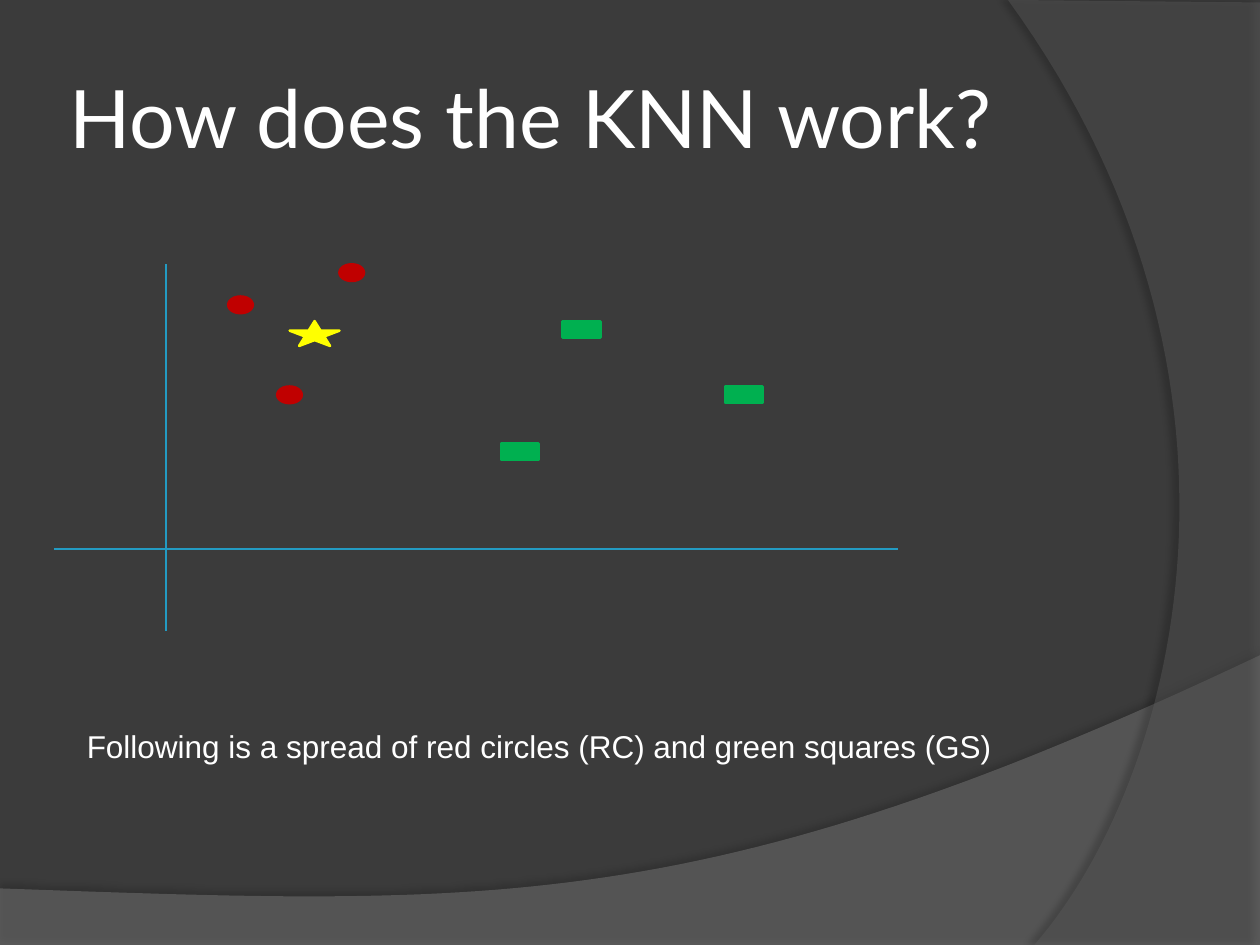
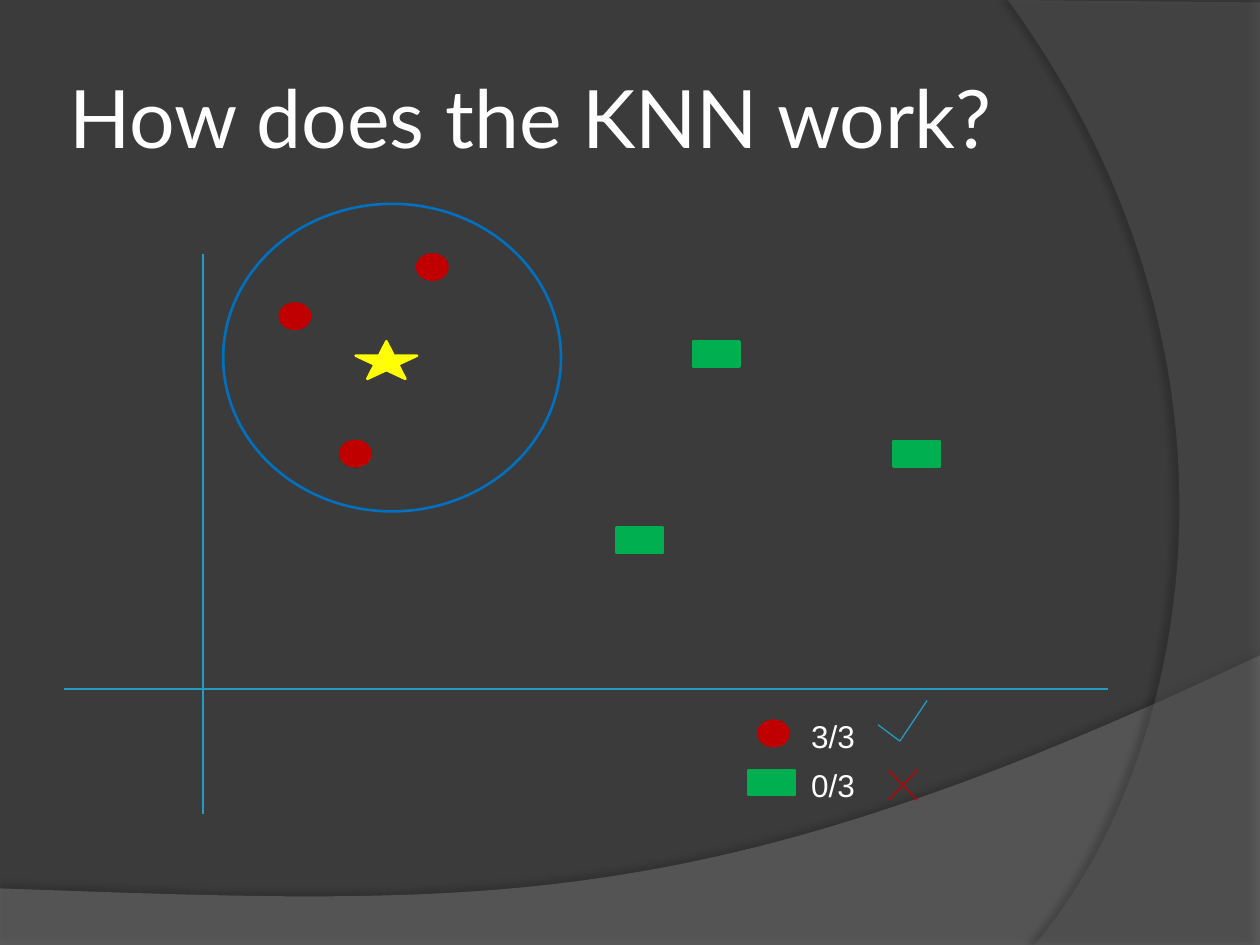
"""Build two slides that show how the KNN method votes."""
import dataclasses

import pptx
import pptx.dml.color
import pptx.enum.shapes
import pptx.enum.text
import pptx.oxml
import pptx.oxml.ns
import pptx.shapes.autoshape
import pptx.slide
import pptx.util

Cm = pptx.util.Cm
Pt = pptx.util.Pt
RGBColor = pptx.dml.color.RGBColor
Kind = pptx.enum.shapes.MSO_SHAPE
Point = tuple[float, float]

DARK = RGBColor(0x3B, 0x3B, 0x3B)
GREY = RGBColor(0x7F, 0x7F, 0x7F)
SLATE = RGBColor(0x5E, 0x5E, 0x5E)
WHITE = RGBColor(0xFF, 0xFF, 0xFF)
TEAL = RGBColor(0x23, 0x9B, 0xC2)
BLUE = RGBColor(0x00, 0x70, 0xC0)
RED = RGBColor(0xC0, 0x00, 0x00)
GREEN = RGBColor(0x00, 0xB0, 0x50)
YELLOW = RGBColor(0xFF, 0xFF, 0x00)


@dataclasses.dataclass(frozen=True)
class Mark:
    kind: Kind
    color: RGBColor
    width: float
    height: float


@dataclasses.dataclass(frozen=True)
class Band:
    edge: list[Point]
    curve: list[Point]
    color: RGBColor
    alpha: int
    shade: int
    reach: float
    angle: int


@dataclasses.dataclass(frozen=True)
class Frame:
    left: float
    top: float
    width: float
    height: float


CIRCLE = Mark(Kind.OVAL, RED, 0.61, 0.51)
SQUARE = Mark(Kind.RECTANGLE, GREEN, 0.94, 0.51)
STAR = Mark(Kind.STAR_5_POINT, YELLOW, 1.24, 0.76)

FULL = Frame(1.3, 5.13, 21.03, 11.28)
SMALL = Frame(1.09, 5.33, 17.02, 7.39)
CROSSING = (2.79, 8.76)
SPREAD = [
    (SQUARE, [(11.13, 5.51), (12.67, 1.75), (16.71, 3.76)]),
    (CIRCLE, [(4.34, 0.99), (5.56, 3.76), (7.11, 0)]),
    (STAR, [(5.87, 1.75)]),
]
BANDS = [
    Band([(0, 17.91), (0, 19.08), (25.4, 19.08), (25.4, 13.21)],
         [(14.2, 18.52), (9.93, 18.26), (0, 17.91)], GREY, 45, 35, 3.5, 270),
    Band([(25.4, 0.05), (25.4, 19.05), (20.85, 19.05)],
         [(23.75, 15.72), (25.86, 7.62), (20.32, 0)], SLATE, 40, 45, 4, 180),
]


def trace(nodes: list[Point], steps: int = 60) -> list[Point]:
    """Return points along a cubic curve."""
    a, b, c, d = nodes
    found = []
    for step in range(1, steps + 1):
        t = step / steps
        u = 1 - t
        found.append(tuple(
            u ** 3 * a[i] + 3 * u * u * t * b[i] + 3 * u * t * t * c[i] + t ** 3 * d[i]
            for i in (0, 1)))
    return found


def add_band(slide: pptx.slide.Slide, band: Band) -> pptx.shapes.autoshape.Shape:
    """Draw a translucent band with a soft shadow."""
    points = [(Cm(x), Cm(y)) for x, y in band.edge + trace(band.edge[-1:] + band.curve)]
    pen = slide.shapes.build_freeform(*points[0])
    pen.add_line_segments(points[1:], close=True)
    shape = pen.convert_to_shape()
    shape.fill.solid()
    shape.fill.fore_color.rgb = band.color
    shape.line.fill.background()
    shape.shadow.inherit = False
    props = shape.element.spPr
    tint = next(props.iter(pptx.oxml.ns.qn("a:srgbClr")))
    pptx.oxml.ns.qn("a:alpha")
    tint.append(pptx.oxml.parse_xml(
        f'<a:alpha {pptx.oxml.ns.nsdecls("a")} val="{band.alpha * 1000}"/>'))
    props.find(pptx.oxml.ns.qn("a:effectLst")).append(pptx.oxml.parse_xml(
        f'<a:outerShdw {pptx.oxml.ns.nsdecls("a")} blurRad="{Pt(4)}" '
        f'dist="{Pt(band.reach)}" dir="{band.angle * 60000}" rotWithShape="0">'
        f'<a:srgbClr val="000000"><a:alpha val="{band.shade * 1000}"/></a:srgbClr>'
        '</a:outerShdw>'))
    return shape


def set_master(deck: pptx.presentation.Presentation, slide: pptx.slide.Slide) -> None:
    """Put the background and the bands on the master."""
    master = deck.slide_master
    master.background.fill.solid()
    master.background.fill.fore_color.rgb = DARK
    for index, band in enumerate(BANDS):
        shape = add_band(slide, band)
        shape.element.nvSpPr.cNvPr.set("id", str(50 + index))
        master.shapes.element.insert(2 + index, shape.element)


def add_run(para: pptx.text.text._Paragraph, text: str, font: str, size: float) -> None:
    """Add one white run."""
    run = para.add_run()
    run.text = text
    run.font.name = font
    run.font.size = Pt(size)
    run.font.color.rgb = WHITE


def set_title(slide: pptx.slide.Slide, text: str) -> None:
    """Place and fill the title."""
    title = slide.shapes.title
    title.left, title.top, title.width, title.height = map(Cm, (1.27, 0.76, 20.75, 3.18))
    frame = title.text_frame
    frame.margin_left = frame.margin_right = Cm(0.13)
    frame.margin_top = frame.margin_bottom = Cm(0.13)
    frame.vertical_anchor = pptx.enum.text.MSO_ANCHOR.MIDDLE
    frame.paragraphs[0].alignment = pptx.enum.text.PP_ALIGN.LEFT
    add_run(frame.paragraphs[0], text, "Lato", 46)


def add_text(slide: pptx.slide.Slide, text: str, left: float, top: float, width: float) -> None:
    """Add a one-line text box."""
    box = slide.shapes.add_textbox(Cm(left), Cm(top), Cm(width), Cm(1.02))
    box.text_frame.word_wrap = True
    add_run(box.text_frame.paragraphs[0], text, "Arial", 18)


def add_line(slide: pptx.slide.Slide, start: Point, end: Point, color: RGBColor) -> None:
    """Draw a thin straight line without shadow."""
    line = slide.shapes.add_connector(
        pptx.enum.shapes.MSO_CONNECTOR.STRAIGHT, *map(Cm, start + end))
    line.line.color.rgb = color
    line.line.width = Pt(0.75)
    line.element.spPr.append(pptx.oxml.parse_xml(
        f'<a:effectLst {pptx.oxml.ns.nsdecls("a")}/>'))


def add_mark(slide: pptx.slide.Slide, mark: Mark, left: float, top: float,
             across: float = 1, down: float = 1, filled: bool = True) -> None:
    """Draw a mark, scaled across and down."""
    shape = slide.shapes.add_shape(
        mark.kind, Cm(left), Cm(top), Cm(mark.width * across), Cm(mark.height * down))
    shape.shadow.inherit = False
    if filled:
        shape.fill.solid()
        shape.fill.fore_color.rgb = mark.color
    else:
        shape.fill.background()
    shape.line.color.rgb = mark.color
    shape.line.width = Pt(1.5)


def add_plot(slide: pptx.slide.Slide, frame: Frame) -> None:
    """Draw the axes and the spread of marks, fitted to a frame."""
    across, down = frame.width / FULL.width, frame.height / FULL.height
    x = frame.left + CROSSING[0] * across
    y = frame.top + CROSSING[1] * down
    add_line(slide, (frame.left, y), (frame.left + frame.width, y), TEAL)
    add_line(slide, (x, frame.top), (x, frame.top + frame.height), TEAL)
    for mark, spots in SPREAD:
        for left, top in spots:
            add_mark(slide, mark, frame.left + left * across,
                     frame.top + top * down, across, down)


def add_votes(slide: pptx.slide.Slide) -> None:
    """Draw the tally of votes with a tick and a cross."""
    add_mark(slide, CIRCLE, 15.29, 14.53)
    add_mark(slide, SQUARE, 15.09, 15.52)
    add_text(slide, "3/3", 16.1, 14.33, 1.8)
    add_text(slide, "0/3", 16.1, 15.32, 1.8)
    add_line(slide, (17.91, 15.52), (18.49, 16.13), RED)
    add_line(slide, (18.49, 15.52), (17.91, 16.13), RED)
    add_line(slide, (17.7, 14.61), (18.14, 14.94), TEAL)
    add_line(slide, (18.14, 14.94), (18.69, 14.12), TEAL)


def main() -> None:
    """Build and save the deck."""
    deck = pptx.Presentation()
    deck.slide_width, deck.slide_height = Cm(25.4), Cm(19.05)
    layout = deck.slide_layouts.get_by_name("Title Only")
    spread, votes = (deck.slides.add_slide(layout) for _ in range(2))
    set_master(deck, spread)
    for slide, frame in ((spread, SMALL), (votes, FULL)):
        set_title(slide, "How does the KNN work?")
        add_plot(slide, frame)
    add_text(spread, "Following is a spread of red circles (RC) and green squares (GS)",
             1.5, 14.53, 21.41)
    add_mark(votes, Mark(Kind.OVAL, BLUE, 6.81, 6.2), 4.5, 4.11, filled=False)
    add_votes(votes)
    deck.save("out.pptx")


main()
